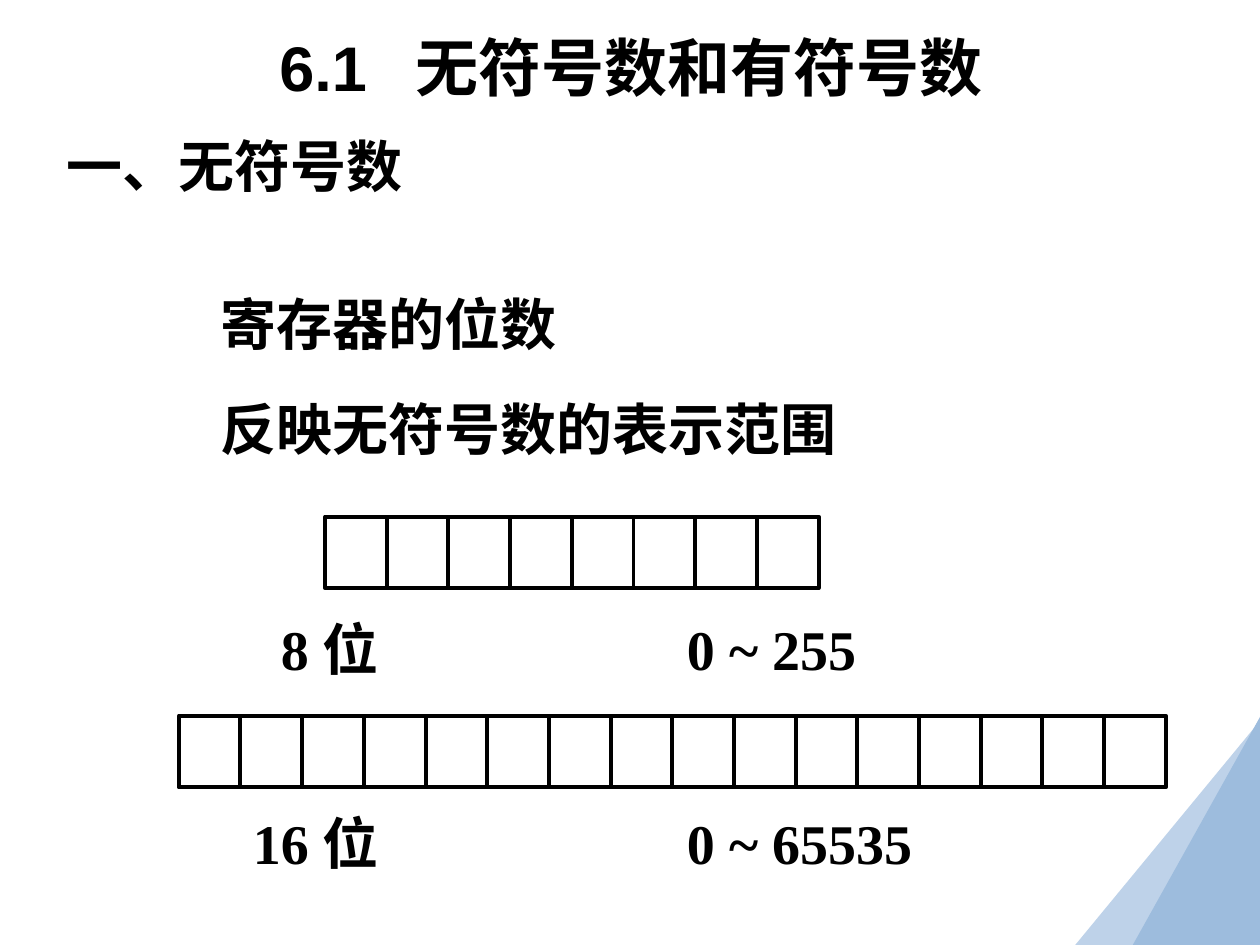
import pptx
import pptx.dml.color
import pptx.enum.shapes
import pptx.enum.text
import pptx.oxml.ns
import pptx.util
from lxml import etree

Pt = pptx.util.Pt
SERIF = "Times New Roman"
SANS = "Arial"
BLACK = "000000"
CELL = 35.25
TABS = [(78.5, "r"), (254.5, "l")]


def color(code):
    return pptx.dml.color.RGBColor.from_string(code)


def paint(shape, code):
    shape.shadow.inherit = False
    shape.fill.solid()
    shape.fill.fore_color.rgb = color(code)
    shape.line.fill.background()


def add_tabs(para, tabs):
    qn = pptx.oxml.ns.qn
    stops = etree.SubElement(para._p.get_or_add_pPr(), qn("a:tabLst"))
    for pos, align in tabs:
        etree.SubElement(stops, qn("a:tab"), pos=str(int(Pt(pos))), algn=align)


def add_text(slide, text, left, top, width, height, face, size=32, tabs=()):
    box = slide.shapes.add_textbox(Pt(left), Pt(top), Pt(width), Pt(height))
    frame = box.text_frame
    frame.word_wrap = True
    frame.vertical_anchor = pptx.enum.text.MSO_ANCHOR.MIDDLE
    frame.text = text
    para = frame.paragraphs[0]
    if tabs:
        add_tabs(para, tabs)
    for run in para.runs:
        run.font.name = face
        run.font.size = Pt(size)
        run.font.bold = True
        run.font.color.rgb = color(BLACK)


def add_bits(slide, count, left, top):
    group = slide.shapes.add_group_shape()
    for bit in range(count):
        cell = group.shapes.add_shape(
            pptx.enum.shapes.MSO_SHAPE.RECTANGLE,
            Pt(left + bit * CELL), Pt(top), Pt(CELL), Pt(41))
        cell.shadow.inherit = False
        cell.fill.background()
        cell.line.color.rgb = color(BLACK)
        cell.line.width = Pt(2.25)


def add_corner(slide):
    pen = slide.shapes.build_freeform(Pt(723.6), Pt(407.5))
    pen.add_line_segments([(Pt(697), Pt(537.1)), (Pt(612), Pt(542.9))], close=True)
    paint(pen.convert_to_shape(), "BED2E9")
    front = slide.shapes.add_shape(
        pptx.enum.shapes.MSO_SHAPE.ISOSCELES_TRIANGLE,
        Pt(647.3), Pt(409.7), Pt(72.7), Pt(130.3))
    front.adjustments[0] = 1
    paint(front, "9DBCDD")


def main():
    deck = pptx.Presentation()
    deck.slide_width = Pt(720)
    deck.slide_height = Pt(540)
    slide = deck.slides.add_slide(deck.slide_layouts[6])

    add_corner(slide)
    add_text(slide, "6.1\t无符号数和有符号数", 152.6, 17.5, 432, 41, SANS, 36, [(78, "l")])
    add_text(slide, "一、无符号数", 31, 71.3, 207, 46, SANS)
    add_text(slide, "寄存器的位数", 118.8, 162, 271.4, 45.4, SERIF)
    add_text(slide, "反映无符号数的表示范围", 118.8, 221.8, 419.8, 45.4, SERIF)
    add_bits(slide, 8, 185.8, 295.2)
    add_text(slide, "\t8 位\t0 ~ 255", 131, 347.8, 475, 45.4, SERIF, tabs=TABS)
    add_bits(slide, 16, 102.2, 409)
    add_text(slide, "\t16 位\t0 ~ 65535", 131, 458.6, 475, 45.4, SERIF, tabs=TABS)

    deck.save("out.pptx")


if __name__ == "__main__":
    main()
